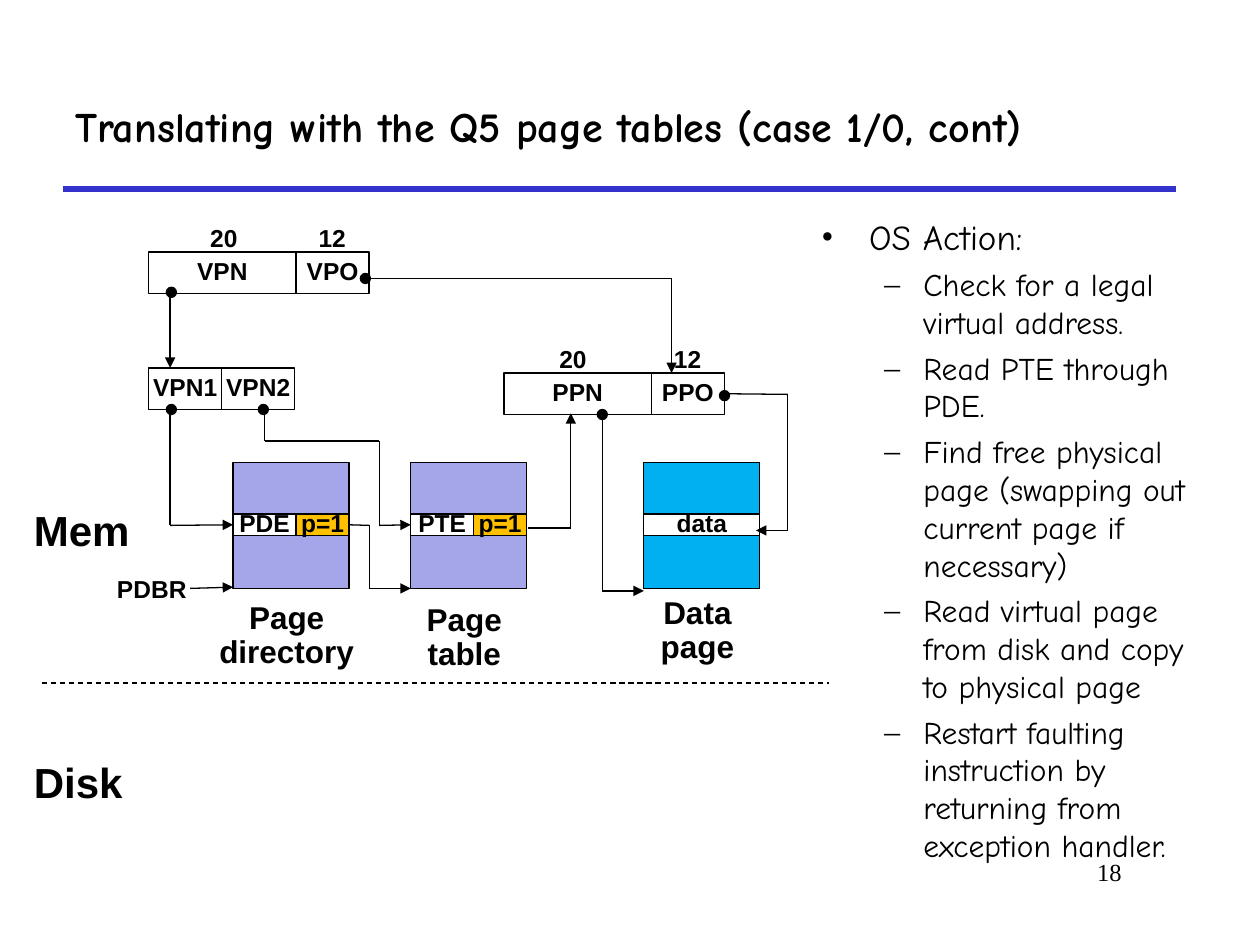
from itertools import pairwise

from lxml import etree
from pptx import Presentation
from pptx.dml.color import RGBColor
from pptx.enum.dml import MSO_LINE_DASH_STYLE as DASH
from pptx.enum.shapes import MSO_CONNECTOR as CONNECTOR, MSO_SHAPE as SHAPE
from pptx.enum.text import MSO_ANCHOR as ANCHOR, MSO_AUTO_SIZE as AUTO_SIZE, PP_ALIGN as ALIGN
from pptx.oxml.ns import qn
from pptx.util import Inches, Pt

TOP, LEFT, BOTTOM, RIGHT = range(4)
BLACK, WHITE, BLUE = "000000", "FFFFFF", "3333CC"
LILAC, AMBER, CYAN = "A5A5E9", "FFC000", "00B0F0"
ACTIONS = [
    "Check for a legal virtual address.",
    "Read PTE through PDE.",
    "Find free physical page (swapping out current page if necessary)",
    "Read virtual page from disk and copy to physical page",
    "Restart faulting instruction by returning from exception handler.",
]


def color(value):
    """Turn a hex string into a colour."""
    return RGBColor.from_string(value)


def style_paragraph(paragraph, size, font="Arial", bold=True, align=None, before=None, spacing=None):
    """Set the font and spacing of one paragraph."""
    paragraph.alignment = align
    paragraph.line_spacing = spacing
    paragraph.space_before = None if before is None else Pt(before)
    for run in paragraph.runs:
        run.font.name = font
        run.font.size = Pt(size)
        run.font.bold = bold
        run.font.color.rgb = color(BLACK)


def add_text(slide, box, text, size, wrap=True, anchor=ANCHOR.TOP, grow=False, **style):
    """Add a text box with one styled paragraph."""
    shape = slide.shapes.add_textbox(*map(Inches, box))
    frame = shape.text_frame
    frame.text = text
    frame.word_wrap = wrap
    frame.vertical_anchor = anchor
    frame.auto_size = AUTO_SIZE.SHAPE_TO_FIT_TEXT if grow else AUTO_SIZE.NONE
    style_paragraph(frame.paragraphs[0], size, **style)


def add_label(slide, box, text, size=14, before=5.2, **style):
    """Add a bold diagram label."""
    add_text(slide, box, text, size, grow=True, before=before, spacing=0.9, **style)


def add_block(slide, box, fill=WHITE, text="", kind=SHAPE.RECTANGLE):
    """Add an outlined shape, with centred text if any."""
    shape = slide.shapes.add_shape(kind, *map(Inches, box))
    shape.shadow.inherit = False
    shape.fill.solid()
    shape.fill.fore_color.rgb = color(fill)
    shape.line.color.rgb = color(BLACK)
    shape.line.width = Pt(0.75)
    if text:
        frame = shape.text_frame
        frame.text = text
        frame.word_wrap = False
        frame.vertical_anchor = ANCHOR.MIDDLE
        style_paragraph(frame.paragraphs[0], 14, align=ALIGN.CENTER, before=5.2, spacing=0.9)
    return shape


def add_line(slide, start, end, stroke=BLACK, width=0.75, arrow=False):
    """Add a straight line, with an arrowhead at its end if asked."""
    line = slide.shapes.add_connector(CONNECTOR.STRAIGHT, *map(Inches, (*start, *end)))
    line.line.color.rgb = color(stroke)
    line.line.width = Pt(width)
    if arrow:
        etree.SubElement(line._element.spPr.find(qn("a:ln")), qn("a:tailEnd"), type="triangle")
    etree.SubElement(line._element.spPr, qn("a:effectLst"))
    return line


def add_route(slide, left, top, points, begin=None, end=None):
    """Add an angled arrow through points, joined to shape sites at its ends."""
    points = [(left + x, top + y) for x, y in points]
    lines = [
        add_line(slide, a, b, arrow=number == len(points) - 1)
        for number, (a, b) in enumerate(pairwise(points), 1)
    ]
    if begin:
        lines[0].begin_connect(*begin)
    if end:
        lines[-1].end_connect(*end)


def add_fields(slide, left, top, fields, height=0.33):
    """Add adjoining cells of (text, width, fill) and return them."""
    cells = []
    for text, width, fill in fields:
        cells.append(add_block(slide, (left, top, width, height), fill, text))
        left += width
    return cells


def add_address(slide, left, top, page, offset, page_bits_left):
    """Add an address split into page number and offset, with bit counts."""
    cells = add_fields(slide, left, top, [(page, 1.17, WHITE), (offset, 0.58, WHITE)])
    for x, bits in ((page_bits_left, "20"), (1.25, "12")):
        add_label(slide, (left + x, top - 0.25, 0.42, 0.31), bits, wrap=False)
    return cells


def add_page(slide, left, top, fill, caption, caption_top, fields):
    """Add a memory page with an entry row and a caption below."""
    add_block(slide, (left, top, 0.92, 1), fill)
    add_label(slide, (left - 0.25, top + caption_top, 1.35, 0.64), caption,
              size=18, before=6.8, align=ALIGN.CENTER)
    return add_fields(slide, left, top + 0.41, fields, 0.17)


def add_diagram(slide, left, top):
    """Draw the address translation from virtual address to data page."""
    present = ("p=1", 0.42, AMBER)
    add_address(slide, left + 0.18, top, "VPN", "VPO", 0.39)
    add_fields(slide, left + 0.18, top + 0.92, [("VPN1", 0.58, WHITE), ("VPN2", 0.58, WHITE)])
    ppo = add_address(slide, left + 3, top + 0.96, "PPN", "PPO", 0.34)[1]
    pde, pde_present = add_page(slide, left + 0.85, top + 1.67, LILAC, "Page directory", 1.06,
                                [("PDE", 0.5, WHITE), present])
    pte = add_page(slide, left + 2.26, top + 1.67, LILAC, "Page table", 1.08,
                   [("PTE", 0.5, WHITE), present])[0]
    add_page(slide, left + 4.11, top + 1.67, CYAN, "Data page", 1.02, [("data", 0.92, WHITE)])
    add_label(slide, (left - 0.17, top + 2.53, 0.75, 0.31), "PDBR", wrap=False)

    routes = [
        ([(0.35, 0.33), (0.35, 0.92)], None, None),
        ([(0.35, 1.25), (0.35, 2.17), (0.85, 2.17)], None, (pde, LEFT)),
        ([(0.51, 2.67), (0.85, 2.66)], None, None),
        ([(1.77, 2.17), (1.93, 2.17), (1.93, 2.67), (2.26, 2.67)], (pde_present, RIGHT), None),
        ([(1.1, 1.25), (1.1, 1.5), (2.01, 1.5), (2.01, 2.17), (2.26, 2.17)], None, (pte, LEFT)),
        ([(1.92, 0.21), (4.33, 0.21), (4.33, 0.96)], None, None),
        ([(4.75, 1.13), (5.25, 1.13), (5.25, 2.21), (5, 2.21)], (ppo, RIGHT), None),
        ([(3.78, 1.25), (3.78, 2.69), (4.11, 2.69)], None, None),
        ([(3.19, 2.19), (3.53, 2.19), (3.53, 1.28)], None, None),
    ]
    for points, begin, end in routes:
        add_route(slide, left, top, points, begin, end)
    for x, y in ((0.36, 0.32), (0.36, 1.25), (1.09, 1.25), (1.9, 0.21), (4.75, 1.14), (3.78, 1.29)):
        add_block(slide, (left + x - 0.04, top + y - 0.04, 0.08, 0.08), BLACK, kind=SHAPE.OVAL)


def add_storage_levels(slide, left, top):
    """Name memory and disk, parted by a dashed line."""
    for text, y in (("Mem", 0), ("Disk", 2)):
        add_label(slide, (left, top + y, 0.96, 0.46), text, size=24, before=9, wrap=False)
    divider = add_line(slide, (left + 0.16, top + 1.42), (left + 6.41, top + 1.42))
    divider.line.dash_style = DASH.DASH


def add_actions(slide, box):
    """List the actions of the operating system."""
    frame = slide.shapes.add_textbox(*map(Inches, box)).text_frame
    frame.word_wrap = True
    frame.text = "\n".join(["OS Action:", *ACTIONS])
    for number, paragraph in enumerate(frame.paragraphs):
        level = min(number, 1)
        size, before, margin, hanging, bullet = ((20, 5, 0.38, 0.38, "•"), (18, 4.5, 0.81, 0.31, "–"))[level]
        paragraph.level = level
        style_paragraph(paragraph, size, "Comic Neue", False, before=before)
        properties = paragraph._p.get_or_add_pPr()
        properties.set("marL", str(Inches(margin)))
        properties.set("indent", str(-Inches(hanging)))
        etree.SubElement(properties, qn("a:buFont"), typeface="Times New Roman")
        etree.SubElement(properties, qn("a:buChar"), char=bullet)


def add_heading(slide, left, top, width):
    """Add the title and the rule below it."""
    add_line(slide, (left, top + 1), (left + width, top + 1), BLUE, 3)
    add_text(slide, (left, top, width, 1), "Translating with the Q5 page tables (case 1/0, cont)", 24,
             anchor=ANCHOR.MIDDLE, font="Comic Neue")


def main():
    """Build and save the slide."""
    presentation = Presentation()
    presentation.slide_width, presentation.slide_height = Inches(10), Inches(7.5)
    slide = presentation.slides.add_slide(presentation.slide_layouts[6])
    add_heading(slide, 0.5, 0.5, 8.83)
    add_actions(slide, (6.42, 1.66, 3.25, 5.34))
    add_diagram(slide, 1, 2)
    add_storage_levels(slide, 0.17, 4)
    add_text(slide, (7.58, 6.75, 1.42, 0.5), "18", 14, font="Times New Roman", bold=False, align=ALIGN.RIGHT)
    presentation.save("out.pptx")


if __name__ == "__main__":
    main()
